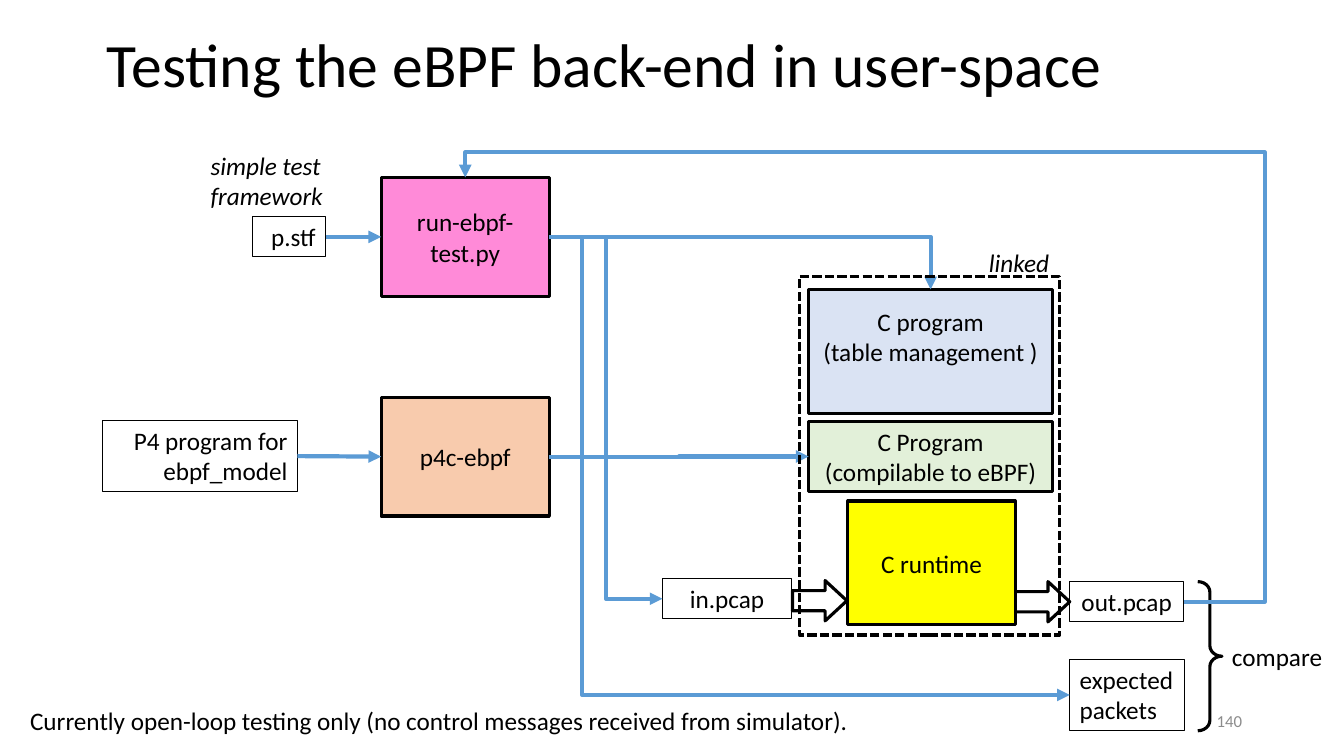
from pptx import Presentation
from pptx.dml.color import RGBColor
from pptx.enum.dml import MSO_LINE
from pptx.enum.shapes import MSO_CONNECTOR as Conn, MSO_SHAPE as Shape
from pptx.enum.text import MSO_ANCHOR as Anchor, MSO_AUTO_SIZE as Fit, PP_ALIGN as Align
from pptx.oxml.ns import qn
from pptx.util import Inches, Pt
from lxml import etree

TOP, LEFT, RIGHT = 0, 1, 3


def color(code):
    return RGBColor.from_string(code)


def write(frame, text, size=18, ink="000000", align=Align.LEFT,
          anchor=Anchor.TOP, italic=False, wrap=True):
    frame.auto_size = Fit.NONE
    frame.word_wrap = wrap
    frame.vertical_anchor = anchor
    para = frame.paragraphs[0]
    para.text = text
    para.alignment = align
    for run in para.runs:
        font = run.font
        font.name, font.size, font.italic = "Calibri", Pt(size), italic
        font.color.rgb = color(ink)
    return para


def label(slide, area, text, **style):
    box = slide.shapes.add_textbox(*map(Inches, area))
    write(box.text_frame, text, **style)


def draw(slide, kind, area, fill=None, width=2.25, adjust=()):
    shape = slide.shapes.add_shape(kind, *map(Inches, area))
    shape.shadow.inherit = False
    if fill:
        shape.fill.solid()
        shape.fill.fore_color.rgb = color(fill)
    else:
        shape.fill.background()
    shape.line.color.rgb = color("000000")
    shape.line.width = Pt(width)
    for index, value in enumerate(adjust):
        shape.adjustments[index] = value
    return shape


def stage(slide, area, text, fill):
    shape = draw(slide, Shape.RECTANGLE, area, fill)
    write(shape.text_frame, text, align=Align.CENTER, anchor=Anchor.MIDDLE)
    return shape


def data(slide, area, text, align=Align.CENTER, wrap=True):
    shape = draw(slide, Shape.RECTANGLE, area, width=0.75)
    write(shape.text_frame, text, align=align, wrap=wrap)
    return shape


def link(slide, start, end, bend=None, adjust=(), sides=(RIGHT, LEFT)):
    kind = Conn.ELBOW if bend else Conn.STRAIGHT
    line = slide.shapes.add_connector(kind, 0, 0, 0, 0)
    line.begin_connect(start, sides[0])
    line.end_connect(end, sides[1])
    line.line.color.rgb = color("5B9BD5")
    line.line.width = Pt(3)
    props = line._element.spPr
    etree.SubElement(props.find(qn("a:ln")), qn("a:tailEnd"), type="triangle")
    etree.SubElement(props, qn("a:effectLst"))
    if bend:
        geom = props.find(qn("a:prstGeom"))
        geom.set("prst", f"bentConnector{bend}")
        guides = geom.find(qn("a:avLst"))
        for index, value in enumerate(adjust, 1):
            etree.SubElement(guides, qn("a:gd"), name=f"adj{index}",
                             fmla=f"val {round(value * 100000)}")


def main():
    deck = Presentation()
    deck.slide_width, deck.slide_height = Inches(13.33), Inches(7.5)
    slide = deck.slides.add_slide(deck.slide_layouts[5])

    title = slide.shapes.title
    title.left, title.top = Inches(0.96), Inches(0.2)
    title.width, title.height = Inches(11.5), Inches(0.94)
    para = write(title.text_frame, "Testing the eBPF back-end in user-space",
                 size=44, anchor=Anchor.MIDDLE)
    para.line_spacing = 0.9

    runner = stage(slide, (3.78, 1.76, 1.67, 1.18), "run-ebpf-test.py", "FF8AD8")
    backend = stage(slide, (3.78, 3.94, 1.67, 1.18), "p4c-ebpf", "F8CBAD")
    tables = stage(slide, (8.02, 2.87, 2.42, 1.23),
                   "C program\n(table management )", "DAE3F3")
    tables.text_frame.margin_bottom = Inches(0.35)
    filters = stage(slide, (8.02, 4.18, 2.42, 0.7),
                    "C Program\n(compilable to eBPF)", "E2F0D9")

    test = data(slide, (2.5, 2.15, 0.73, 0.4), "p.stf", Align.RIGHT)
    source = data(slide, (1.02, 4.17, 1.93, 0.71),
                  "P4 program for ebpf_model", Align.RIGHT)
    input = data(slide, (6.57, 5.74, 1.28, 0.4), "in.pcap")
    output = data(slide, (10.61, 5.77, 1.13, 0.4), "out.pcap")
    expect = data(slide, (10.61, 6.54, 1.14, 0.71), "expected\npackets",
                  Align.LEFT, wrap=False)

    for left, top in ((7.86, 5.76), (10.07, 5.77)):
        draw(slide, Shape.RIGHT_ARROW, (left, top, 0.54, 0.4), "FFFFFF",
             adjust=(0.5, 0.54))
    draw(slide, Shape.RIGHT_BRACE, (11.88, 5.77, 0.24, 1.48), adjust=(0.43, 0.5))

    link(slide, test, runner)
    link(slide, source, backend)
    link(slide, backend, filters, 3, (0.5,))
    link(slide, runner, tables, 2, sides=(RIGHT, TOP))
    link(slide, runner, input, 3, (0.5,))
    link(slide, runner, expect, 3, (0.063,))
    link(slide, output, runner, 4, (-0.113, 1.059), (RIGHT, TOP))

    stage(slide, (8.41, 4.97, 1.66, 1.23), "C runtime", "FFFF00")
    bounds = draw(slide, Shape.RECTANGLE, (7.93, 2.74, 2.58, 3.56))
    bounds.line.dash_style = MSO_LINE.SQUARE_DOT

    label(slide, (1.99, 1.44, 1.32, 0.71), "simple test\nframework",
          italic=True, wrap=False)
    label(slide, (9.71, 2.4, 0.82, 0.4), "linked", italic=True, wrap=False)
    label(slide, (12.12, 6.31, 1.11, 0.4), "compare", wrap=False)
    label(slide, (0.2, 6.95, 8.41, 0.4),
          "Currently open-loop testing only "
          "(no control messages received from simulator).", wrap=False)
    label(slide, (9.42, 6.95, 3, 0.4), "140", size=12, ink="8C8C8C",
          align=Align.RIGHT, anchor=Anchor.MIDDLE)

    deck.save("out.pptx")


if __name__ == "__main__":
    main()
